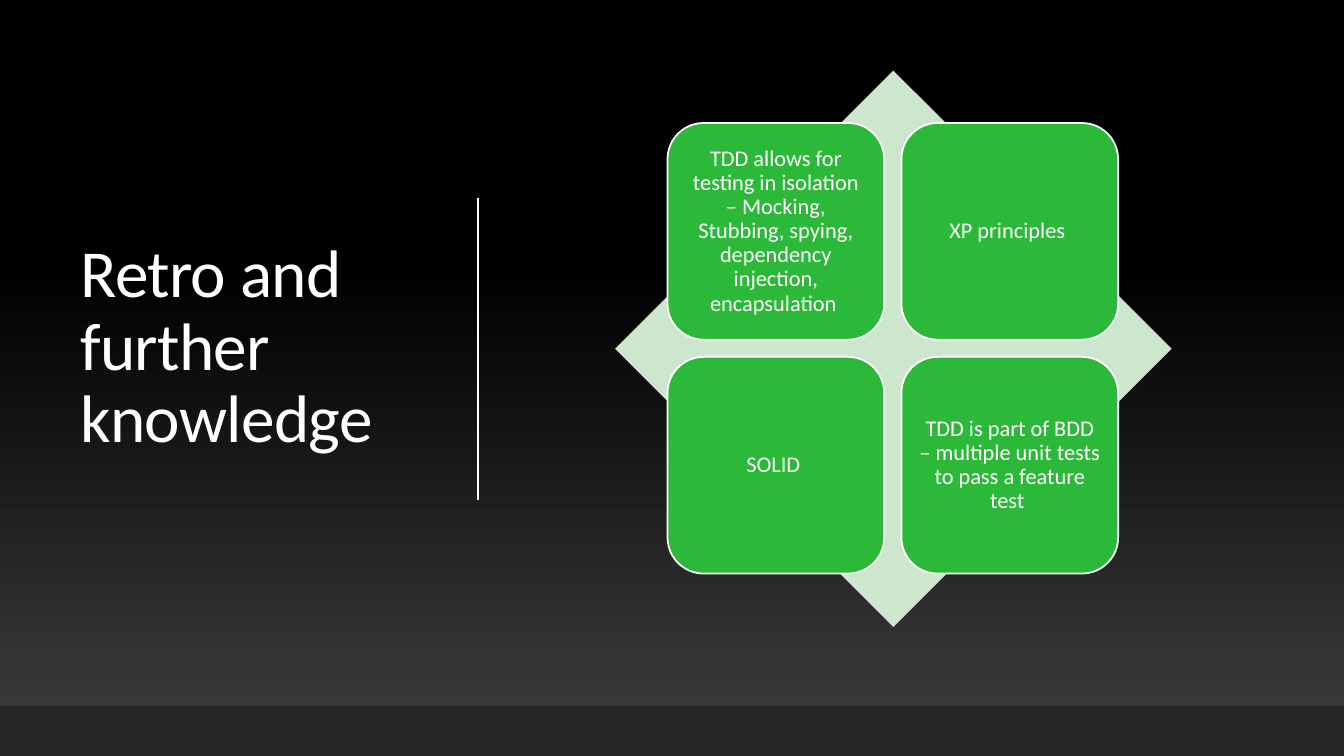
from dataclasses import dataclass

from lxml import etree
from pptx import Presentation
from pptx import util as u
from pptx.dml.color import RGBColor
from pptx.enum import shapes, text
from pptx.oxml.ns import qn


@dataclass(frozen=True)
class Theme:
    """Colours, font and type sizes of the slide."""
    white: str = "FFFFFF"
    black: str = "000000"
    charcoal: str = "3F3F3F"
    footer: str = "262626"
    diamond: str = "CDE6CE"
    card: str = "2CB839"
    font: str = "Calibri"
    title_size: int = 48
    card_size: int = 16


THEME = Theme()
SLIDE_WIDTH, SLIDE_HEIGHT = 13.33, 7.5
CARD_LEFT, CARD_TOP = 6.62, 1.22
CARD_SIZE, CARD_PITCH = 2.15, 2.32
CARD_COLUMNS = 2
CARD_TEXTS = [
    "TDD allows for testing in isolation – Mocking, Stubbing, spying, "
    "dependency injection, encapsulation ",
    "XP principles ",
    "SOLID ",
    "TDD is part of BDD – multiple unit tests to pass a feature test ",
]


def inches(*lengths):
    """Convert several lengths to slide units."""
    return [u.Inches(length) for length in lengths]


def paint_background(slide):
    """Fade the background from charcoal at the bottom to black."""
    fill = slide.background.fill
    fill.gradient()
    fill.gradient_angle = 90
    stops = [(0, THEME.charcoal), (0.65, THEME.black)]
    for stop, (position, color) in zip(fill.gradient_stops, stops):
        stop.position = position
        stop.color.rgb = RGBColor.from_string(color)


def write_text(shape, content, *, size, align, inset=(0.1, 0.05), spacing=0):
    """Write one vertically centred paragraph into a shape."""
    frame = shape.text_frame
    frame.word_wrap = True
    frame.vertical_anchor = text.MSO_ANCHOR.MIDDLE
    frame.margin_left = frame.margin_right = u.Inches(inset[0])
    frame.margin_top = frame.margin_bottom = u.Inches(inset[1])
    paragraph = frame.paragraphs[0]
    paragraph.alignment = align
    paragraph.line_spacing = 0.9
    run = paragraph.add_run()
    run.text = content
    run.font.name = THEME.font
    run.font.size = u.Pt(size)
    run.font.color.rgb = RGBColor.from_string(THEME.white)
    if spacing:
        run.font._element.set("spc", str(round(spacing * 100)))


def add_block(slide, kind, box, color, outline=None):
    """Add a filled preset shape, with a white outline if a width is given."""
    shape = slide.shapes.add_shape(kind, *inches(*box))
    shape.shadow.inherit = False
    shape.fill.solid()
    shape.fill.fore_color.rgb = RGBColor.from_string(color)
    if outline:
        shape.line.color.rgb = RGBColor.from_string(THEME.white)
        shape.line.width = u.Pt(outline)
    else:
        shape.line.fill.background()
    return shape


def add_divider(slide, x, top, bottom):
    """Add the vertical rule beside the title."""
    line = slide.shapes.add_connector(
        shapes.MSO_CONNECTOR.STRAIGHT, *inches(x, top, x, bottom))
    line.line.color.rgb = RGBColor.from_string(THEME.white)
    line.line.width = u.Pt(1)
    etree.SubElement(line._element.spPr, qn("a:effectLst"))


def add_title(slide, content):
    """Add the slide title on the left."""
    box = slide.shapes.add_textbox(*inches(0.7, 0.69, 3.69, 5.53))
    write_text(box, content, size=THEME.title_size,
               align=text.PP_ALIGN.LEFT, spacing=-0.5)


def add_cards(slide):
    """Lay the rounded cards out in a grid."""
    for index, content in enumerate(CARD_TEXTS):
        row, column = divmod(index, CARD_COLUMNS)
        box = (CARD_LEFT + column * CARD_PITCH, CARD_TOP + row * CARD_PITCH,
               CARD_SIZE, CARD_SIZE)
        card = add_block(slide, shapes.MSO_SHAPE.ROUNDED_RECTANGLE, box,
                         THEME.card, outline=1.25)
        write_text(card, content, size=THEME.card_size,
                   align=text.PP_ALIGN.CENTER, inset=(0.07, 0.07))


def main():
    """Build and save the slide."""
    presentation = Presentation()
    presentation.slide_width, presentation.slide_height = inches(
        SLIDE_WIDTH, SLIDE_HEIGHT)
    slide = presentation.slides.add_slide(presentation.slide_layouts[6])
    paint_background(slide)
    add_title(slide, "Retro and further knowledge ")
    add_divider(slide, 4.74, 1.96, 4.96)
    add_block(slide, shapes.MSO_SHAPE.RECTANGLE,
              (0, 7, SLIDE_WIDTH, 0.5), THEME.footer)
    add_block(slide, shapes.MSO_SHAPE.DIAMOND,
              (6.1, 0.7, 5.52, 5.52), THEME.diamond)
    add_cards(slide)
    presentation.save("out.pptx")


main()
